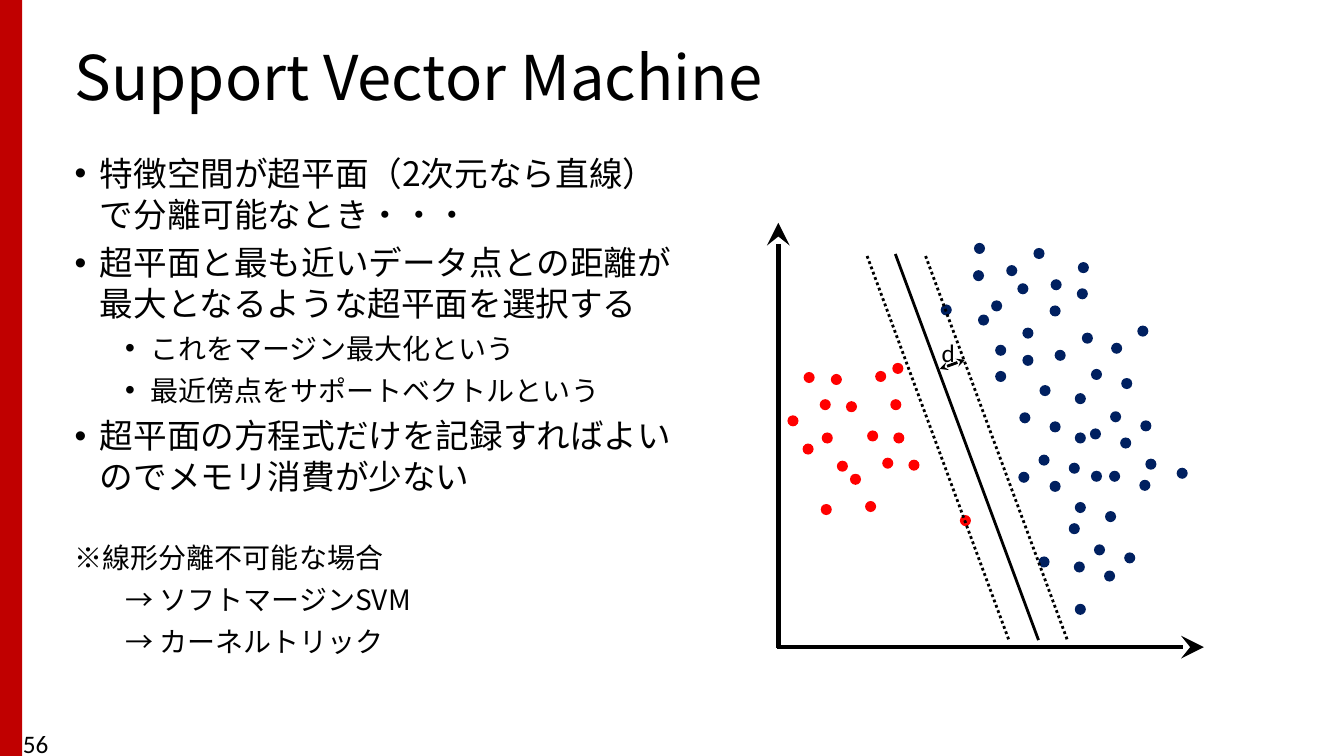
import pptx
import pptx.util
import pptx.dml.color
import pptx.enum.dml
import pptx.enum.shapes
import pptx.enum.text
import pptx.oxml.ns
from lxml import etree

Inches, Pt = pptx.util.Inches, pptx.util.Pt
qn = pptx.oxml.ns.qn
MSO_SHAPE = pptx.enum.shapes.MSO_SHAPE
ANCHOR = pptx.enum.text.MSO_ANCHOR
COLORS = {"bar": "C00000", "ink": "000000", "red": "FF0000", "navy": "002060"}
JP, LATIN = "Noto Sans CJK JP", "Calibri"
DOT = 0.11

# Paragraphs: text, level, size, left margin, bulleted, space before
BODY = [
    ("特徴空間が超平面（2次元なら直線）で分離可能なとき・・・", 0, 24, 0.25, True, 0),
    ("超平面と最も近いデータ点との距離が最大となるような超平面を選択する", 0, 24, 0.25, True, 6),
    ("これをマージン最大化という", 1, 20, 0.75, True, 6),
    ("最近傍点をサポートベクトルという", 1, 20, 0.75, True, 6),
    ("超平面の方程式だけを記録すればよいのでメモリ消費が少ない", 0, 24, 0.25, True, 6),
    ("※線形分離不可能な場合", 0, 20, 0, False, 32),
    ("→ ソフトマージンSVM", 1, 20, 0.5, False, 6),
    ("→ カーネルトリック", 1, 20, 0.5, False, 6),
]

# Top-left corners of the data points of each class
POINTS = {
    "red": [
        (8.15, 4.29), (8.3, 4.57), (8.14, 5), (7.97, 3.69), (8.13, 3.96),
        (7.81, 4.12), (7.96, 4.4), (8.24, 3.71), (8.39, 3.98), (8.6, 4.27),
        (8.75, 4.54), (8.85, 3.6), (9.52, 5.11), (8.43, 4.7), (8.58, 4.97),
        (8.86, 4.29), (9.01, 4.56), (8.68, 3.68), (8.83, 3.96),
    ],
    "navy": [
        (10.6, 4.59), (10.3, 4.51), (10.6, 5.19), (10.41, 4.18), (10.11, 4.09),
        (10.41, 4.77), (10.1, 4.68), (11.15, 5.48), (10.85, 5.4), (10.96, 5.07),
        (10.66, 4.98), (10.95, 5.66), (10.65, 5.57), (10.3, 5.52), (10.66, 5.99),
        (9.33, 3.02), (9.66, 2.41), (10.09, 2.81), (9.83, 2.98), (9.65, 2.68),
        (10.69, 2.6), (10.42, 2.77), (10.25, 2.46), (9.98, 2.63), (10.68, 2.86),
        (10.41, 3.03), (10.14, 3.25), (9.87, 3.42), (10.66, 4.29), (10.31, 3.82),
        (9.7, 3.12), (10.14, 3.52), (9.87, 3.68), (10.73, 3.3), (10.46, 3.47),
        (11.31, 4.17), (11.01, 4.08), (11.3, 4.76), (11, 4.67), (11.12, 3.75),
        (10.82, 3.66), (11.11, 4.34), (10.81, 4.25), (11.67, 4.64), (11.36, 4.55),
        (10.82, 4.67), (11.28, 3.23), (11.02, 3.4), (10.66, 3.9),
    ],
}


def rgb(name):
    return pptx.dml.color.RGBColor.from_string(COLORS[name])


def place(sp, x, y, w, h):
    sp.left, sp.top, sp.width, sp.height = map(Inches, (x, y, w, h))


def add_run(p, text, size, font):
    r = p.add_run()
    r.text = text
    r.font.size, r.font.name = Pt(size), font
    r.font.color.rgb = rgb("ink")
    ea = etree.SubElement(r.font._element, qn("a:ea"))
    ea.set("typeface", font)


def add_filled(s, shape, color, x, y, w, h):
    sp = s.shapes.add_shape(shape, *map(Inches, (x, y, w, h)))
    sp.shadow.inherit = False
    sp.fill.solid()
    sp.fill.fore_color.rgb = rgb(color)
    sp.line.fill.background()


def add_line(s, start, end, width=2, dotted=False, arrows=(), head="med"):
    line = s.shapes.add_connector(pptx.enum.shapes.MSO_CONNECTOR.STRAIGHT,
                                  *map(Inches, start + end))
    line.line.color.rgb = rgb("ink")
    line.line.width = Pt(width)
    if dotted:
        line.line.dash_style = pptx.enum.dml.MSO_LINE.ROUND_DOT
    ln = line.line._get_or_add_ln()
    for tag in arrows:
        etree.SubElement(ln, qn(tag), type="stealth", w=head, len=head)
    etree.SubElement(line._element.spPr, qn("a:effectLst"))


def add_label(s, text, x, y, w, h, wrap=True):
    tf = s.shapes.add_textbox(*map(Inches, (x, y, w, h))).text_frame
    tf.word_wrap = wrap
    add_run(tf.paragraphs[0], text, 18, LATIN)


def set_bullet(p, margin, bulleted):
    pPr = p._p.get_or_add_pPr()
    pPr.set("marL", str(Inches(margin)))
    pPr.set("indent", str(Inches(-0.25 if bulleted else 0)))
    if bulleted:
        etree.SubElement(pPr, qn("a:buFont")).set("typeface", "Arial")
        etree.SubElement(pPr, qn("a:buChar")).set("char", "•")
    else:
        etree.SubElement(pPr, qn("a:buNone"))


def fill_title(s):
    sp = s.shapes.title
    place(sp, 0.64, 0.4, 11.76, 0.8)
    tf = sp.text_frame
    tf.auto_size = pptx.enum.text.MSO_AUTO_SIZE.NONE
    tf.vertical_anchor = ANCHOR.MIDDLE
    p = tf.paragraphs[0]
    p.alignment = pptx.enum.text.PP_ALIGN.LEFT
    p.line_spacing = 0.9
    add_run(p, "Support Vector Machine", 44, JP)


def fill_body(s):
    sp = s.placeholders[1]
    place(sp, 0.64, 1.47, 6.29, 6.03)
    tf = sp.text_frame
    tf.auto_size = pptx.enum.text.MSO_AUTO_SIZE.NONE
    tf.vertical_anchor = ANCHOR.TOP
    for i, (text, level, size, margin, bulleted, before) in enumerate(BODY):
        p = tf.add_paragraph() if i else tf.paragraphs[0]
        p.level = level
        set_bullet(p, margin, bulleted)
        p.line_spacing, p.space_before = 1.0, Pt(before)
        add_run(p, text, size, JP)


def draw_plot(s):
    # Axes
    for start, end in [((7.71, 6.42), (11.94, 6.42)), ((7.72, 6.43), (7.72, 2.21))]:
        add_line(s, start, end, 3.25, arrows=("a:tailEnd",), head="lg")
    # Data points
    for color, corners in POINTS.items():
        for x, y in corners:
            add_filled(s, MSO_SHAPE.OVAL, color, x, y, DOT, DOT)
    # Margin width, margin borders and hyperplane
    add_line(s, (9.32, 3.66), (9.57, 3.57), arrows=("a:headEnd", "a:tailEnd"))
    for x in (8.6, 9.18):
        add_line(s, (x, 2.54), (x + 1.41, 6.36), dotted=True)
    add_line(s, (8.88, 2.52), (10.3, 6.35))
    add_label(s, "d", 9.24, 3.3, 0.34, 0.4, wrap=False)


def main():
    prs = pptx.Presentation()
    prs.slide_width, prs.slide_height = Inches(13.33), Inches(7.5)
    s = prs.slides.add_slide(prs.slide_layouts[1])
    add_filled(s, MSO_SHAPE.RECTANGLE, "bar", 0, 0, 0.22, 7.5)
    fill_title(s)
    fill_body(s)
    draw_plot(s)
    # Slide number
    add_label(s, "56", 0.13, 7.18, 3, 0.4)
    prs.save("out.pptx")


if __name__ == "__main__":
    main()
